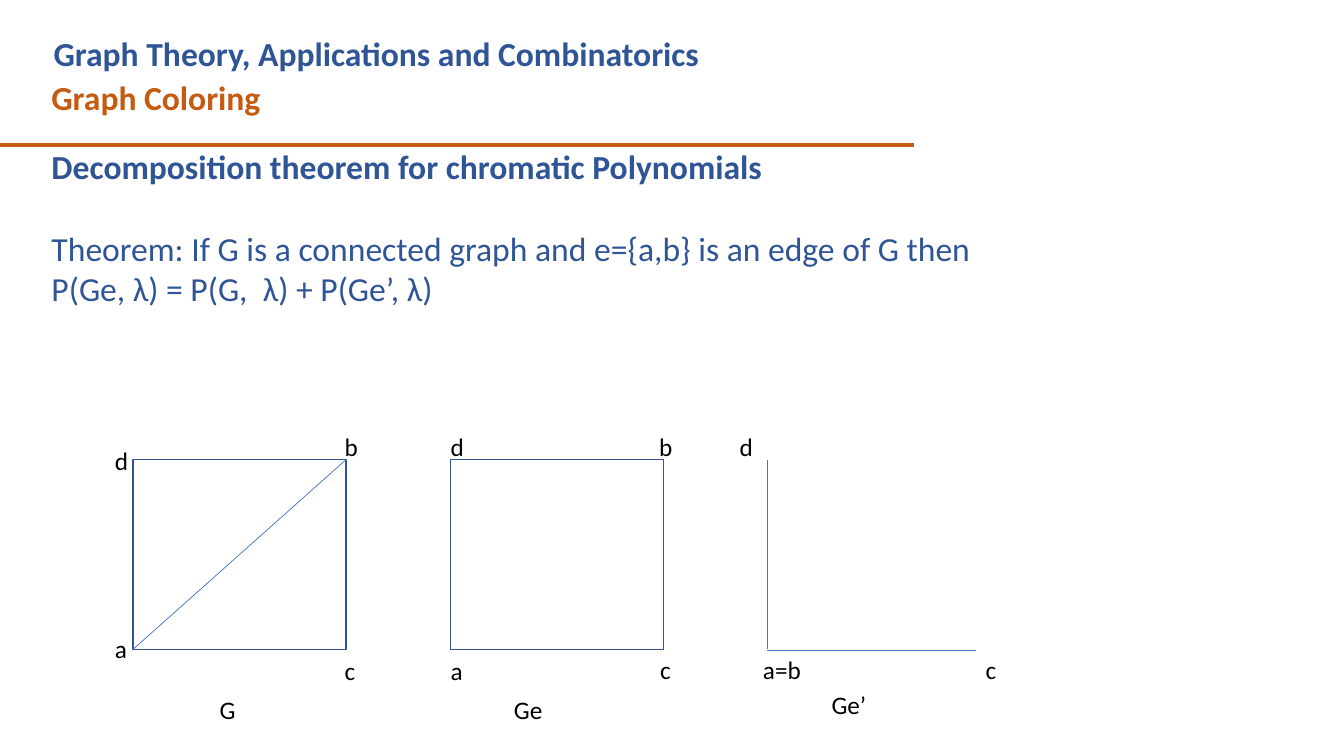
"""Build the slide on the decomposition theorem for chromatic polynomials."""
from dataclasses import dataclass

from lxml.etree import SubElement
from pptx import Presentation
from pptx.dml.color import RGBColor
from pptx.enum.shapes import MSO_CONNECTOR as Conn, MSO_SHAPE as Shape
from pptx.enum.text import MSO_ANCHOR as Anchor, MSO_AUTO_SIZE as Fit, PP_ALIGN as Align
from pptx.oxml.ns import qn
from pptx.slide import Slide
from pptx.text.text import TextFrame, _Paragraph as Paragraph
from pptx.util import Inches, Pt

ORANGE = RGBColor(0xC5, 0x5A, 0x11)
NAVY = RGBColor(0x2F, 0x55, 0x97)
OUTLINE = RGBColor(0x32, 0x54, 0x91)
BLUE = RGBColor(0x44, 0x72, 0xC4)
BLACK = RGBColor(0, 0, 0)

FONT = "Calibri"
COL = Inches(13.33) / 100
ROW = Inches(7.5) / 100
LEFT, PITCH, TOP = 9.9, 23.6, 60.8
WIDTH, HEIGHT = 15.85, 25.1


@dataclass
class Label:
    """A text placed relative to the top left corner of its graph."""
    text: str
    dx: float
    dy: float
    width: float = 3.2


@dataclass
class Edge:
    """A line placed relative to the top left corner of its graph."""
    x1: float
    y1: float
    x2: float
    y2: float


@dataclass
class Graph:
    """A drawn graph: optional square outline, extra edges and labels."""
    square: bool
    edges: list[Edge]
    labels: list[Label]


GRAPHS = [
    Graph(True, [Edge(0, HEIGHT, WIDTH, 0)], [
        Label("a", -2.1, 22.27), Label("b", 15, -4.4), Label("c", 15, 25.2),
        Label("d", -2.1, -2.53), Label("G", 5.7, 30.4, 7)]),
    Graph(True, [], [
        Label("a", -0.72, 25.2), Label("b", 14.8, -4.4), Label("c", 14.88, 25.07),
        Label("d", -0.72, -4.4), Label("Ge", 4, 30.4, 9.8)]),
    Graph(False, [Edge(0, 0, 0, HEIGHT), Edge(0, 25.2, 15.5, 25.2)], [
        Label("d", -2.8, -4.4), Label("c", 15.5, 25.07),
        Label("a=b", -1.07, 25.07, 7.35), Label("Ge’", 4.03, 29.73, 8.9)]),
]

THEOREM = [
    "Decomposition theorem for chromatic Polynomials",
    "Theorem: If G is a connected graph and e={a,b} is an edge of G then",
    "P(Ge, λ) = P(G,  λ) + P(Ge’, λ)",
]


def box(x: float, y: float, w: float, h: float) -> tuple[int, int, int, int]:
    """Turn shares of the slide into a position and a size."""
    return round(x * COL), round(y * ROW), round(w * COL), round(h * ROW)


def style(p: Paragraph, size: int, color: RGBColor, bold: bool = False) -> None:
    """Format every run of a paragraph."""
    for r in p.runs:
        r.font.name, r.font.size, r.font.bold = FONT, Pt(size), bold
        r.font.color.rgb = color


def set_frame(tf: TextFrame) -> None:
    """Wrap text from the top without shrinking it."""
    tf.word_wrap, tf.auto_size, tf.vertical_anchor = True, Fit.NONE, Anchor.TOP


def add_text(s: Slide, text: str, place: tuple[int, int, int, int], size: int,
             color: RGBColor, bold: bool = False) -> None:
    """Add a one-line text box."""
    tf = s.shapes.add_textbox(*place).text_frame
    set_frame(tf)
    tf.text = text
    style(tf.paragraphs[0], size, color, bold)


def add_line(s: Slide, edge: Edge, color: RGBColor, weight: float,
             left: float = 0, top: float = 0) -> None:
    """Add a straight line without a shadow."""
    x1, y1, x2, y2 = box(left + edge.x1, top + edge.y1, left + edge.x2, top + edge.y2)
    line = s.shapes.add_connector(Conn.STRAIGHT, x1, y1, x2, y2)
    line.line.color.rgb, line.line.width = color, Pt(weight)
    SubElement(line._element.spPr, qn("a:effectLst"))


def add_graph(s: Slide, graph: Graph, left: float) -> None:
    """Draw one graph with its labels."""
    if graph.square:
        sp = s.shapes.add_shape(Shape.RECTANGLE, *box(left, TOP, WIDTH, HEIGHT))
        sp.shadow.inherit = False
        sp.fill.background()
        sp.line.color.rgb, sp.line.width = OUTLINE, Pt(1)
    for edge in graph.edges:
        add_line(s, edge, BLUE, 0.5, left, TOP)
    for label in graph.labels:
        place = box(left + label.dx, TOP + label.dy, label.width, 5.33)
        add_text(s, label.text, place, 18, BLACK)


def fill_title(s: Slide) -> None:
    """Place and format the title."""
    sp = s.shapes.title
    sp.left, sp.top, sp.width, sp.height = box(3.23, 3.73, 61.5, 6.67)
    set_frame(sp.text_frame)
    sp.text_frame.text = "Graph Theory, Applications and Combinatorics"
    p = sp.text_frame.paragraphs[0]
    p.alignment = Align.LEFT
    style(p, 24, NAVY, True)


def fill_body(s: Slide) -> None:
    """Place and format the theorem."""
    sp = s.placeholders[1]
    sp.left, sp.top, sp.width, sp.height = box(3.08, 18.67, 83.1, 22.93)
    tf = sp.text_frame
    set_frame(tf)
    tf.text = "\n".join(THEOREM)
    for i, p in enumerate(tf.paragraphs):
        p.alignment = Align.JUSTIFY
        p.space_before = Pt(29.3 if i == 1 else 0)
        pPr = p._p.get_or_add_pPr()
        pPr.set("marL", "0")
        pPr.set("indent", "0")
        SubElement(pPr, qn("a:buNone"))
        style(p, 24, NAVY, i == 0)


def main() -> None:
    """Build and save the presentation."""
    prs = Presentation()
    prs.slide_width, prs.slide_height = round(COL * 100), round(ROW * 100)
    s = prs.slides.add_slide(prs.slide_layouts[1])
    fill_title(s)
    add_text(s, "Graph Coloring", box(3.08, 9.47, 65.6, 6.67), 24, ORANGE, True)
    add_line(s, Edge(0, 19.2, 68.04, 19.2), ORANGE, 3)
    fill_body(s)
    for i, graph in enumerate(GRAPHS):
        add_graph(s, graph, LEFT + i * PITCH)
    prs.save("out.pptx")


if __name__ == "__main__":
    main()
